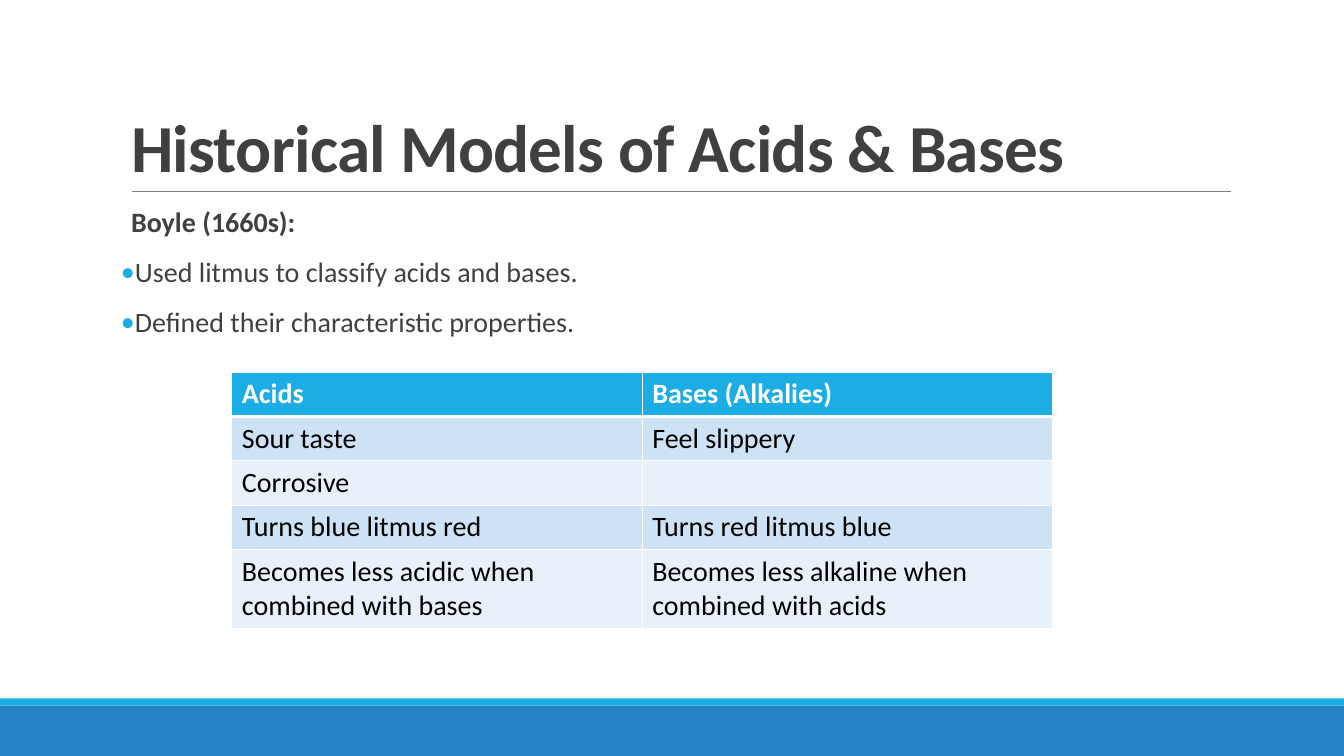
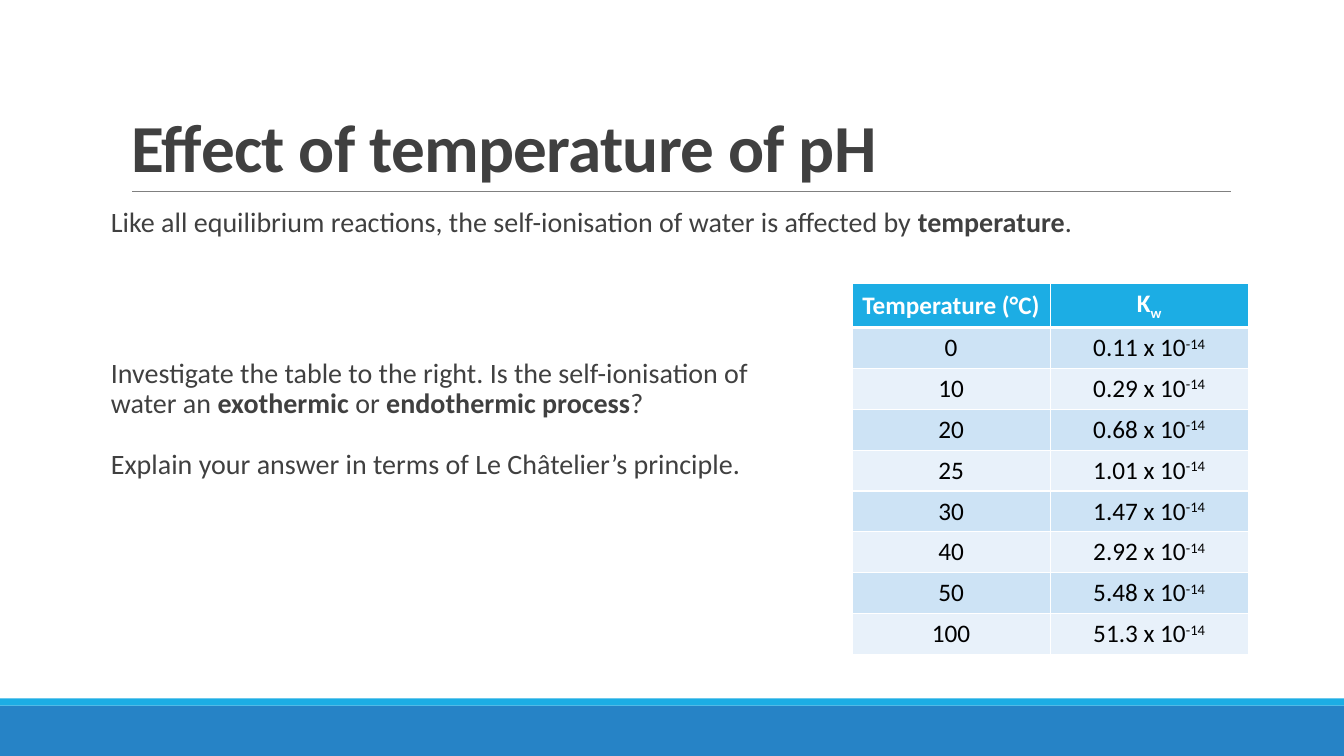
import pptx
import pptx.util
import pptx.dml.color
import pptx.enum.text
import pptx.enum.shapes
import pptx.oxml
import pptx.oxml.ns
import lxml.etree

Inches = pptx.util.Inches
Pt = pptx.util.Pt
TEXT = pptx.enum.text

FONT = "Calibri"
SKY, BLUE, GREY, INK = "1CADE4", "2683C6", "808080", "404040"
WHITE, BLACK = "FFFFFF", "000000"
BANDS = ("CDE3F5", "E8F1FA")
WIDE, HIGH = 13.33, 7.5


def rgb(code):
    return pptx.dml.color.RGBColor.from_string(code)


def child(node, tag, **attrs):
    part = lxml.etree.SubElement(node, pptx.oxml.ns.qn(tag))
    for key, value in attrs.items():
        part.set(key, str(value))
    return part


def paint(node, tone):
    child(child(node, "a:solidFill"), "a:srgbClr", val=tone)


def box(left, top, width, height):
    return [Inches(n) for n in (left, top, width, height)]


def place(shape, area):
    shape.left, shape.top, shape.width, shape.height = box(*area)


def add_run(para, text, size, tone, bold=False, **attrs):
    run = para.add_run()
    run.text = text
    font = run.font
    font.name, font.size, font.bold = FONT, Pt(size), bold
    font.color.rgb = rgb(tone)
    for key, value in attrs.items():
        run._r.get_or_add_rPr().set(key, str(value))


# Shared frame: footer bands and title rule, kept on the layout
def add_frame(slide):
    parts = []
    for area, tone in (((0, 7, WIDE, 0.5), BLUE), ((0, 6.93, WIDE, 0.07), SKY)):
        band = slide.shapes.add_shape(
            pptx.enum.shapes.MSO_SHAPE.RECTANGLE, *box(*area))
        band.shadow.inherit = False
        band.fill.solid()
        band.fill.fore_color.rgb = rgb(tone)
        band.line.fill.background()
        parts.append(band)
    rule = slide.shapes.add_connector(
        pptx.enum.shapes.MSO_CONNECTOR.STRAIGHT, *box(1.31, 1.9, 12.21, 1.9))
    rule.line.color.rgb = rgb(GREY)
    rule.line.width = Pt(0.5)
    child(rule.element.spPr, "a:effectLst")
    for part in parts + [rule]:
        slide.slide_layout.shapes.element.append(part.element)


def add_title(slide, text):
    title = slide.shapes.title
    place(title, (1.2, 0.31, 11, 1.59))
    frame = title.text_frame
    frame.auto_size = TEXT.MSO_AUTO_SIZE.NONE
    frame.vertical_anchor = TEXT.MSO_ANCHOR.BOTTOM
    para = frame.paragraphs[0]
    para.alignment = TEXT.PP_ALIGN.LEFT
    para.line_spacing = 0.85
    add_run(para, text, 48, INK, True, spc=-50)


# Body items: (bullet, space before, space after, runs)
def add_body(slide, area, items):
    body = slide.placeholders[1]
    place(body, area)
    frame = body.text_frame
    frame.auto_size = TEXT.MSO_AUTO_SIZE.NONE
    frame.margin_left = frame.margin_right = 0
    for i, (dot, before, after, runs) in enumerate(items):
        para = frame.add_paragraph() if i else frame.paragraphs[0]
        para.line_spacing = 0.9
        para.space_before, para.space_after = Pt(before), Pt(after)
        props = para._p.get_or_add_pPr()
        props.set("marL", str(Inches(0.1)))
        props.set("indent", str(Inches(-0.1 if dot else 0)))
        if dot:
            child(child(props, "a:buClr"), "a:srgbClr", val=SKY)
            child(props, "a:buFont", typeface=FONT)
            child(props, "a:buChar", char="•")
        else:
            child(props, "a:buNone")
        for text, bold in runs:
            for n, line in enumerate(text.split("\n")):
                if n:
                    para.add_line_break()
                add_run(para, line, 20, INK, bold)


def style_cell(cell, tone, head):
    props = cell._tc.get_or_add_tcPr()
    for side in ("a:lnL", "a:lnR", "a:lnT", "a:lnB"):
        wide = 3 if head and side == "a:lnB" else 1
        paint(child(props, side, w=Pt(wide)), WHITE)
    cell.fill.solid()
    cell.fill.fore_color.rgb = rgb(tone)


# Table cells: lists of (text, baseline shift in percent)
def add_grid(slide, left, top, width, highs, rows, size, mid=False):
    cols = len(rows[0])
    table = slide.shapes.add_table(
        len(rows), cols, *box(left, top, width, sum(highs))).table
    for r, row in enumerate(rows):
        table.rows[r].height = Inches(highs[r])
        head = r == 0
        for c, runs in enumerate(row):
            cell = table.cell(r, c)
            style_cell(cell, SKY if head else BANDS[(r - 1) % 2], head)
            para = cell.text_frame.paragraphs[0]
            if mid:
                cell.vertical_anchor = TEXT.MSO_ANCHOR.MIDDLE
                para.alignment = TEXT.PP_ALIGN.CENTER
            for text, shift in runs:
                attrs = {"baseline": shift * 1000} if shift else {}
                add_run(para, text, size, WHITE if head else BLACK, head, **attrs)


def boyle_slide(slide):
    add_title(slide, "Historical Models of Acids & Bases")
    add_body(slide, (1.2, 2.02, 11, 4.4), [
        (False, 0, 2, [("Boyle (1660s):", True)]),
        (True, 12, 2, [("Used litmus to classify acids and bases.", False)]),
        (True, 12, 2, [("Defined their characteristic properties.", False)]),
    ])
    facts = [
        ("Acids", "Bases (Alkalies)"),
        ("Sour taste", "Feel slippery"),
        ("Corrosive", ""),
        ("Turns blue litmus red", "Turns red litmus blue"),
        ("Becomes less acidic when combined with bases",
         "Becomes less alkaline when combined with acids"),
    ]
    rows = [[[(text, 0)] if text else [] for text in pair] for pair in facts]
    add_grid(slide, 2.3, 3.69, 8.14, [0.44] * 4 + [0.78], rows, 20)


def heat_slide(slide):
    add_title(slide, "Effect of temperature of pH")
    add_body(slide, (1, 2.02, 11.39, 4.4), [
        (False, 0, 2, [
            ("Like all equilibrium reactions, the self-ionisation of water"
             " is affected by ", False),
            ("temperature", True), (".", False)]),
        (False, 84, 0, [
            ("Investigate the table to the right. Is the self-ionisation of"
             " \nwater an ", False),
            ("exothermic ", True), ("or ", False),
            ("endothermic process", True), ("?", False)]),
        (False, 22, 2, [
            ("Explain your answer in terms of Le Châtelier’s principle.",
             False)]),
    ])
    data = [("0", "0.11"), ("10", "0.29"), ("20", "0.68"), ("25", "1.01"),
            ("30", "1.47"), ("40", "2.92"), ("50", "5.48"), ("100", "51.3")]
    rows = [[[("Temperature (°C)", 0)], [("K", 0), ("w", -25)]]]
    rows += [[[(heat, 0)], [(f"{value} x 10", 0), ("-14", 30)]]
             for heat, value in data]
    add_grid(slide, 8.45, 2.81, 3.93, [0.4] * len(rows), rows, 18, True)


def main():
    deck = pptx.Presentation()
    deck.slide_width, deck.slide_height = Inches(WIDE), Inches(HIGH)
    layout = deck.slide_layouts[1]
    for i, build in enumerate((boyle_slide, heat_slide)):
        slide = deck.slides.add_slide(layout)
        if i == 0:
            add_frame(slide)
        build(slide)
    deck.save("out.pptx")


if __name__ == "__main__":
    main()
